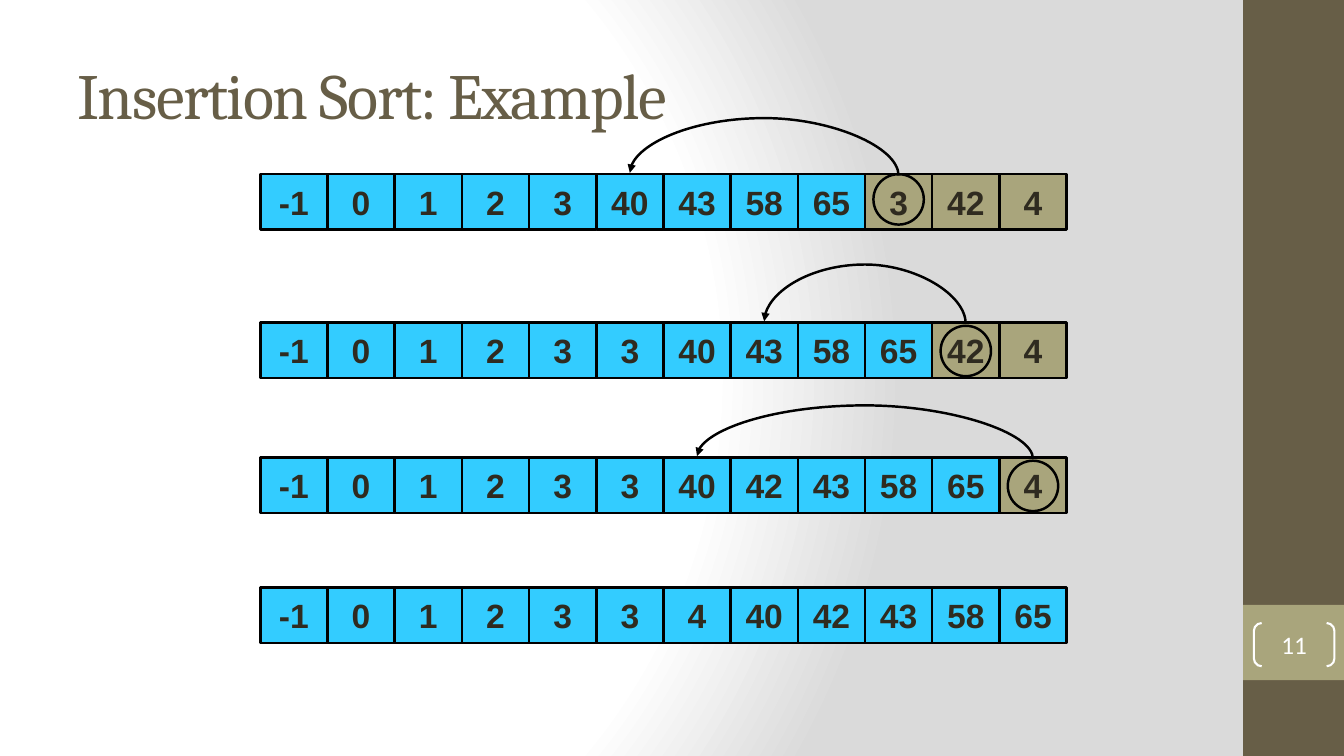
from lxml import etree
from pptx import Presentation
from pptx import util as u
from pptx.dml import color
from pptx.enum import shapes, text
from pptx.oxml import ns, parse_xml

COLORS = {
    "olive": "675E47",
    "unsorted": "A9A57C",
    "sorted": "33CCFF",
    "ink": "2F2B20",
    "black": "000000",
    "white": "FFFFFF",
    "grey": "DADADA",
}
Cm = u.Cm
SHAPE = shapes.MSO_SHAPE


def rgb(name):
    return color.RGBColor.from_string(COLORS[name])


def add_shape(words="", *, kind=SHAPE.RECTANGLE, box, fill=None, line=None, line_width=1.75,
              font="Arial", size=24, font_color="ink", bold=False, wrap=False, inset=None):
    shape = slide.shapes.add_shape(kind, *[Cm(length) for length in box])
    shape.shadow.inherit = False
    if fill:
        shape.fill.solid()
        shape.fill.fore_color.rgb = rgb(fill)
    else:
        shape.fill.background()
    if line:
        shape.line.color.rgb = rgb(line)
        shape.line.width = u.Pt(line_width)
    else:
        shape.line.fill.background()
    if words:
        frame = shape.text_frame
        frame.word_wrap = wrap
        frame.vertical_anchor = text.MSO_ANCHOR.MIDDLE
        if inset is not None:
            frame.margin_left = frame.margin_right = Cm(inset)
            frame.margin_top = frame.margin_bottom = Cm(inset)
        paragraph = frame.paragraphs[0]
        paragraph.alignment = text.PP_ALIGN.CENTER
        run = paragraph.add_run()
        run.text = words
        run.font.name = font
        run.font.size = u.Pt(size)
        run.font.bold = bold
        run.font.color.rgb = rgb(font_color)
    return shape


presentation = Presentation()
presentation.slide_width = Cm(33.87)
presentation.slide_height = Cm(19.05)
slide = presentation.slides.add_slide(presentation.slide_layouts[5])

slide.background.fill.solid()
background = slide.background._cSld.bg.bgPr
stops = "".join(
    f'<a:gs pos="{position}"><a:srgbClr val="{COLORS[name]}"/></a:gs>'
    for position, name in [(0, "white"), (75000, "white"), (100000, "grey")]
)
gradient = parse_xml(
    f'<a:gradFill {ns.nsdecls("a")} rotWithShape="1"><a:gsLst>{stops}</a:gsLst>'
    '<a:path path="circle"><a:fillToRect l="20000" t="50000" r="100000" b="50000"/></a:path>'
    '</a:gradFill>'
)
background.replace(background.find(ns.qn("a:solidFill")), gradient)

add_shape(box=(31.33, 0, 2.54, 19.05), fill="olive")
add_shape(box=(31.33, 15.24, 2.54, 1.9), fill="unsorted")

title = slide.shapes.title
title.left, title.top, title.width, title.height = Cm(1.69), Cm(0.76), Cm(28.22), Cm(3.18)
title.text_frame.text = "Insertion Sort: Example"
title.text_frame.auto_size = text.MSO_AUTO_SIZE.NONE
title.text_frame.vertical_anchor = text.MSO_ANCHOR.MIDDLE
title_paragraph = title.text_frame.paragraphs[0]
title_paragraph.alignment = text.PP_ALIGN.LEFT
title_run = title_paragraph.runs[0]
title_run.font.name = "Cambria"
title_run.font.size = u.Pt(46)
title_run.font.color.rgb = rgb("olive")
title_run.font._element.set("spc", "-100")

array_left = 6.56
cell_width = 20.32 / 12
cell_height = 1.4
circle_size = 1.27
arrow_drop = 0.07

passes = [
    {"top": 4.39, "values": "-1 0 1 2 3 40 43 58 65 3 42 4", "sorted": 9,
     "target": 5, "rise": 1.45, "circle_gap": 0},
    {"top": 8.13, "values": "-1 0 1 2 3 3 40 43 58 65 42 4", "sorted": 10,
     "target": 7, "rise": 1.5, "circle_gap": 0.08},
    {"top": 11.53, "values": "-1 0 1 2 3 3 40 42 43 58 65 4", "sorted": 11,
     "target": 6, "rise": 1.35, "circle_gap": 0.08},
    {"top": 14.81, "values": "-1 0 1 2 3 3 4 40 42 43 58 65", "sorted": 12},
]

for step in passes:
    top = step["top"]
    for index, value in enumerate(step["values"].split()):
        add_shape(value, box=(array_left + index * cell_width, top, cell_width, cell_height),
                  fill="sorted" if index < step["sorted"] else "unsorted",
                  line="black", bold=True)
    if "target" not in step:
        continue

    start_x = array_left + (step["sorted"] + 0.5) * cell_width
    end_x = array_left + (step["target"] + 0.5) * cell_width
    add_shape(kind=SHAPE.OVAL, line="black",
              box=(start_x - circle_size / 2, top + step["circle_gap"], circle_size, circle_size))

    middle_x = (start_x + end_x) / 2
    span = start_x - end_x
    arrow = slide.shapes.add_connector(
        shapes.MSO_CONNECTOR.CURVE,
        Cm(middle_x - arrow_drop / 2), Cm(top - span / 2),
        Cm(middle_x + arrow_drop / 2), Cm(top + span / 2))
    arrow.line.color.rgb = rgb("black")
    arrow.line.width = u.Pt(1.75)
    properties = arrow._element.spPr
    frame = properties.find(ns.qn("a:xfrm"))
    frame.set("rot", "5400000")
    frame.set("flipH", "1")
    guides = properties.find(ns.qn("a:prstGeom")).get_or_add_avLst()
    bend = round(step["rise"] / arrow_drop * 100000)
    etree.SubElement(guides, ns.qn("a:gd"), name="adj1", fmla=f"val {bend}")
    etree.SubElement(arrow.line._get_or_add_ln(), ns.qn("a:tailEnd"), type="triangle")
    etree.SubElement(properties, ns.qn("a:effectLst"))

page_number = add_shape("11", kind=SHAPE.DOUBLE_BRACKET, box=(31.6, 15.7, 2.03, 1.09),
                        line="white", line_width=1.5, font="Calibri", size=18,
                        font_color="white", wrap=True, inset=0)
page_number.adjustments[0] = 0.18

presentation.save("out.pptx")
